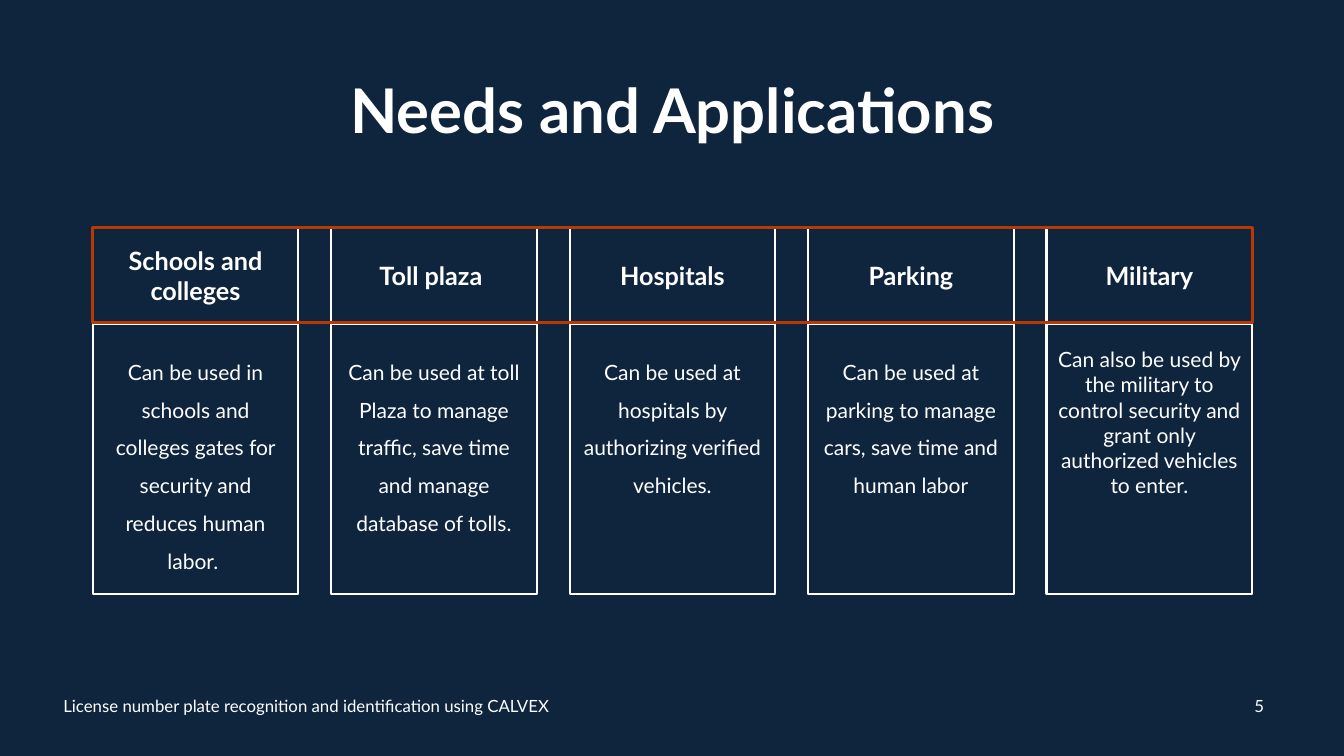
from pptx import Presentation
from pptx.dml.color import RGBColor
from pptx.enum.shapes import MSO_SHAPE
from pptx.enum.text import MSO_ANCHOR as Anchor, PP_ALIGN as Align
from pptx.util import Inches, Pt

NAVY = RGBColor(0x0F, 0x25, 0x3E)
WHITE = RGBColor(0xFF, 0xFF, 0xFF)
ORANGE = RGBColor(0xB8, 0x39, 0x03)
FONT = "Lato"

LEFT, TOTAL_WIDTH = 0.92, 11.5
COLUMN_WIDTH = 2.04
HEAD_TOP, HEAD_HEIGHT = 2.26, 0.95
BODY_TOP, BODY_HEIGHT = 3.2, 2.69

APPLICATIONS = [
    ("Schools and colleges",
     "Can be used in schools and colleges gates for security and reduces human labor. ", 1.5),
    ("Toll plaza ",
     "Can be used at toll Plaza to manage traffic, save time and manage database of tolls.", 1.5),
    ("Hospitals",
     "Can be used at hospitals by authorizing verified vehicles.", 1.5),
    ("Parking",
     "Can be used at parking to manage cars, save time and human labor", 1.5),
    ("Military",
     "Can also be used by the military to control security and grant only "
     "authorized vehicles to enter.", 1.0),
]


def write_text(shape, text, size, bold=False, align=Align.CENTER, anchor=Anchor.MIDDLE,
               line_spacing=1.0, space_before=0, inset_top=0.05):
    frame = shape.text_frame
    frame.word_wrap = True
    frame.vertical_anchor = anchor
    frame.margin_left = frame.margin_right = Inches(0.1)
    frame.margin_top, frame.margin_bottom = Inches(inset_top), Inches(0.05)
    para = frame.paragraphs[0]
    para.alignment = align
    para.line_spacing = line_spacing
    para.space_before = Pt(space_before)
    span = para.add_run()
    span.text = text
    span.font.name = FONT
    span.font.size = Pt(size)
    span.font.bold = bold
    span.font.color.rgb = WHITE


def add_title(page, text):
    title = page.shapes.title
    title.left, title.top = Inches(LEFT), Inches(0.4)
    title.width, title.height = Inches(TOTAL_WIDTH), Inches(1.45)
    write_text(title, text, 44, bold=True, line_spacing=0.9)


def add_outline(page, left, top, width, height, color=WHITE, weight=1.5):
    box = page.shapes.add_shape(MSO_SHAPE.RECTANGLE, Inches(left), Inches(top),
                                Inches(width), Inches(height))
    box.shadow.inherit = False
    box.fill.background()
    box.line.color.rgb = color
    box.line.width = Pt(weight)
    return box


def add_column(page, left, heading, description, line_spacing):
    head = add_outline(page, left, HEAD_TOP, COLUMN_WIDTH, HEAD_HEIGHT)
    write_text(head, heading, 18, bold=True, space_before=10)
    body = add_outline(page, left, BODY_TOP, COLUMN_WIDTH, BODY_HEIGHT)
    write_text(body, description, 15, anchor=Anchor.TOP,
               line_spacing=line_spacing, inset_top=0.24)


def add_footer_text(page, left, width, text, align):
    box = page.shapes.add_textbox(Inches(left), Inches(6.8), Inches(width), Inches(0.4))
    write_text(box, text, 12, align=align)


def main():
    deck = Presentation()
    deck.slide_width, deck.slide_height = Inches(13.33), Inches(7.5)
    page = deck.slides.add_slide(deck.slide_layouts[5])
    page.background.fill.solid()
    page.background.fill.fore_color.rgb = NAVY

    add_title(page, "Needs and Applications")
    step = (TOTAL_WIDTH - COLUMN_WIDTH) / (len(APPLICATIONS) - 1)
    for index, application in enumerate(APPLICATIONS):
        add_column(page, LEFT + index * step, *application)
    add_footer_text(page, 12.24, 0.5, "5", Align.CENTER)
    add_outline(page, LEFT, HEAD_TOP, TOTAL_WIDTH, BODY_TOP - HEAD_TOP, ORANGE, 2.25)
    add_footer_text(page, 0.53, 5.12,
                    "License number plate recognition and identification using CALVEX",
                    Align.LEFT)
    deck.save("out.pptx")


if __name__ == "__main__":
    main()
